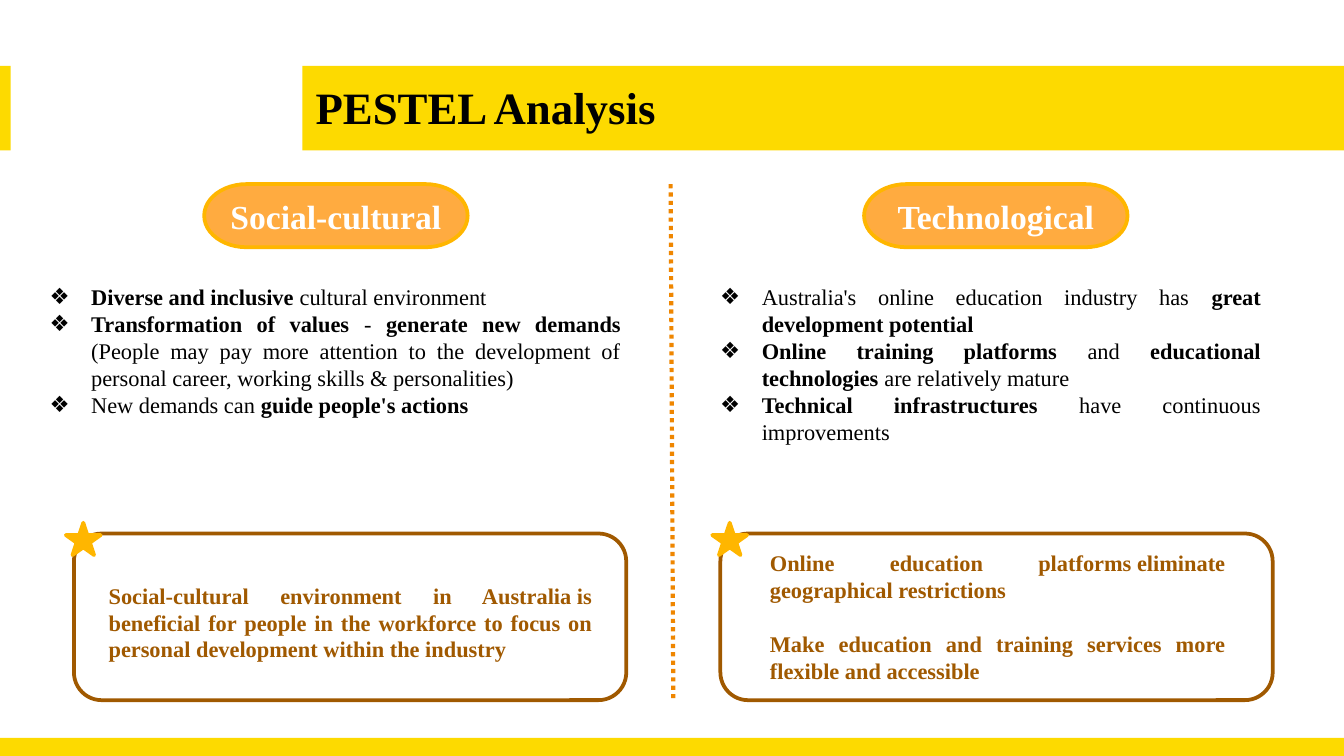
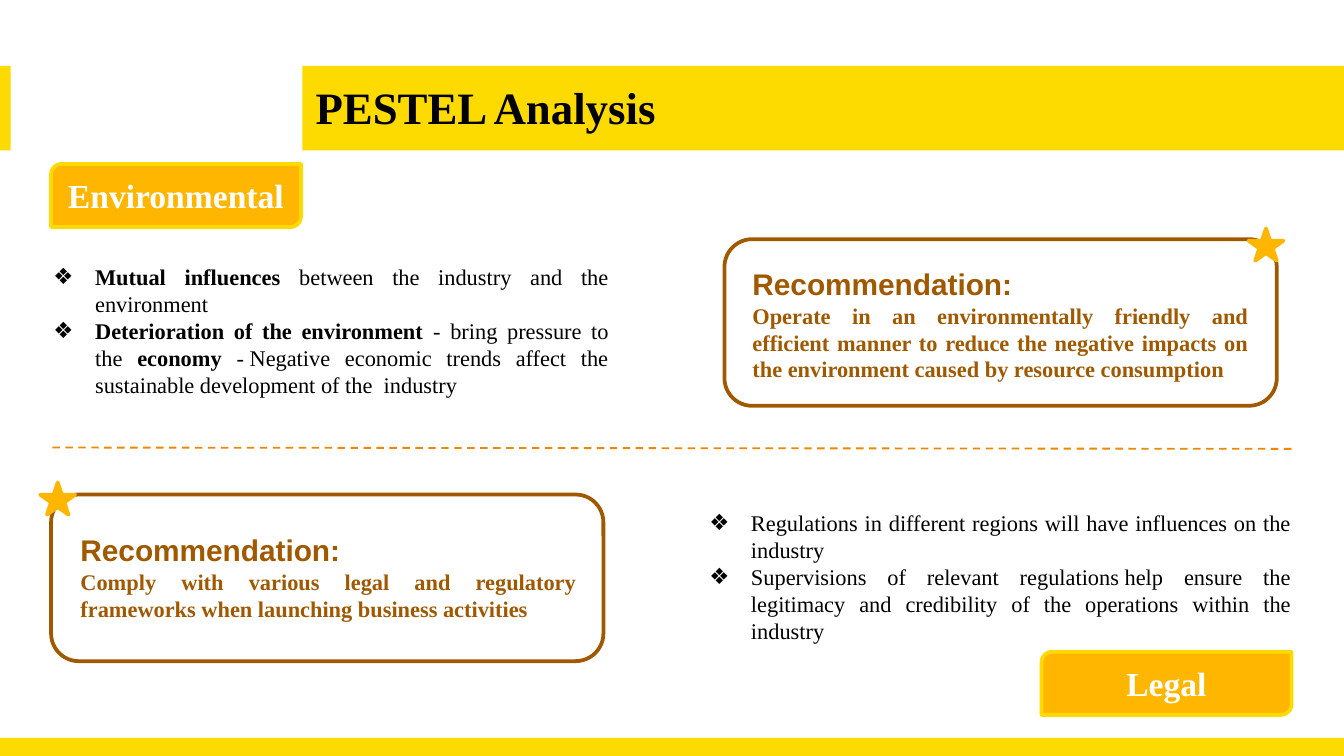
from lxml import etree
from pptx import Presentation
from pptx.dml.color import RGBColor
from pptx.enum.dml import MSO_LINE
from pptx.enum.shapes import MSO_CONNECTOR, MSO_SHAPE
from pptx.enum.text import MSO_ANCHOR, PP_ALIGN
from pptx.oxml.ns import qn
from pptx.util import Emu, Pt

RECT, ROUND = MSO_SHAPE.RECTANGLE, MSO_SHAPE.ROUNDED_RECTANGLE
PILL, TAG = MSO_SHAPE.FLOWCHART_TERMINATOR, MSO_SHAPE.ROUND_2_DIAG_RECTANGLE
STAR, LINE = MSO_SHAPE.STAR_5_POINT, MSO_CONNECTOR.STRAIGHT
DOT, DASH = MSO_LINE.ROUND_DOT, MSO_LINE.DASH
TOP, MID = MSO_ANCHOR.TOP, MSO_ANCHOR.MIDDLE
LEFT, CENTER, JUST = PP_ALIGN.LEFT, PP_ALIGN.CENTER, PP_ALIGN.JUSTIFY

WIDE = 1000
SERIF, SANS = "Times New Roman", "Arial"
YELLOW, AMBER, PEACH, ORANGE = "FDDA00", "FFB600", "FFAB40", "EF8600"
BROWN, BLACK, WHITE = "A05900", "000000", "FFFFFF"
CARD = (411, 124)
HARD = chr(160)  # no-break space, typed as ~ in the wording


def px(n):
    return Emu(n * 9144)


def rgb(code):
    return RGBColor.from_string(code)


def shape(slide, kind, box, fill, edge=None):
    item = slide.shapes.add_shape(kind, *map(px, box))
    item.shadow.inherit = False
    item.fill.solid()
    item.fill.fore_color.rgb = rgb(fill)
    if edge:
        item.line.color.rgb = rgb(edge)
        item.line.width = Pt(2)
    else:
        item.line.fill.background()
    return item


def frame_of(item, pad, anchor):
    frame = item.text_frame
    frame.word_wrap = True
    frame.vertical_anchor = anchor
    frame.margin_left = frame.margin_right = px(pad[0])
    frame.margin_top = frame.margin_bottom = px(pad[1])
    return frame


def text_box(slide, box, pad=(10, 5)):
    return frame_of(slide.shapes.add_textbox(*map(px, box)), pad, TOP)


def para(frame, first, align):
    item = frame.paragraphs[0] if first else frame.add_paragraph()
    item.alignment = align
    return item


def run(item, words, size, color, bold=True, font=SERIF):
    part = item.add_run()
    part.text = words.replace("~", HARD)
    part.font.size = Pt(size)
    part.font.name = font
    part.font.bold = bold
    part.font.color.rgb = rgb(color)


def bullet(item):
    props = item._p.get_or_add_pPr()
    props.set("marL", str(px(31)))
    props.set("indent", str(-px(31)))
    tint = etree.SubElement(props, qn("a:buClr"))
    etree.SubElement(tint, qn("a:srgbClr"), val=BLACK)
    etree.SubElement(props, qn("a:buFont"), typeface=SANS)
    etree.SubElement(props, qn("a:buChar"), char="❖")


def base(deck, title):
    slide = deck.slides.add_slide(deck.slide_layouts[6])
    # Bands and title
    for box in ((0, 549, WIDE, 14), (225, 49, 775, 63), (0, 49, 8, 63)):
        shape(slide, RECT, box, YELLOW)
    frame = text_box(slide, (225, 49, 741, 63), (10, 10))
    run(para(frame, True, LEFT), title, 24, BLACK)
    return slide


def split(slide, ends, width, dash):
    rule = slide.shapes.add_connector(LINE, *map(px, ends))
    rule.line.color.rgb = rgb(ORANGE)
    rule.line.width = Pt(width)
    rule.line.dash_style = dash
    etree.SubElement(rule._element.spPr, qn("a:effectLst"))


def label(slide, kind, box, words, fill, edge):
    frame = frame_of(shape(slide, kind, box, fill, edge), (0, 0), MID)
    run(para(frame, True, CENTER), words, 18, WHITE)


def points(slide, box, items):
    frame = text_box(slide, box)
    for i, parts in enumerate(items):
        item = para(frame, i == 0, JUST)
        bullet(item)
        for words, bold in parts:
            run(item, words, 12, BLACK, bold)


def card(slide, x, y, inner, lines, head=None, star=(-6, -8), gap=0):
    """Outlined card; inner and star are placed from its top left corner."""
    shape(slide, ROUND, (x, y, *CARD), WHITE, BROWN)
    shape(slide, STAR, (x + star[0], y + star[1], 26, 24), AMBER, AMBER)
    dx, dy, w, h = inner
    frame = text_box(slide, (x + dx, y + dy, w, h))
    if head:
        run(para(frame, True, LEFT), head, 16, BROWN, font=SANS)
    for i, words in enumerate(lines):
        item = para(frame, i == 0 and not head, JUST)
        if i:
            item.space_before = Pt(gap)
        run(item, words, 12, BROWN)


def columns(deck):
    slide = base(deck, "PESTEL Analysis")
    split(slide, (499, 137, 501, 521), 2.25, DOT)
    for x, words in ((152, "Social-cultural"), (643, "Technological")):
        label(slide, PILL, (x, 137, 196, 47), words, PEACH, AMBER)

    # Left column
    points(slide, (27, 206, 445, 111), [
        [("Diverse and inclusive", True), (" cultural environment", False)],
        [("Transformation of values", True), (" - ", False),
         ("generate new demands", True),
         (" (People may pay more attention to the development of personal "
          "career, working skills & personalities)", False)],
        [("New demands can ", False), ("guide people's actions", True)],
    ])
    card(slide, 55, 397, (16, 31, 380, 71), [
        "Social-cultural environment in Australia~is beneficial for people "
        "in the workforce to focus on personal development within the industry"])

    # Right column
    points(slide, (526, 206, 422, 131), [
        [("Australia's online education industry has ", False),
         ("great development~potential", True)],
        [("Online training platforms", True), (" and ", False),
         ("educational technologies", True),
         (" are relatively mature", False)],
        [("Technical infrastructures", True),
         (" have continuous improvements", False)],
    ])
    card(slide, 536, 397, (27, 7, 359, 111), [
        "Online education platforms~eliminate geographical restrictions",
        "Make education and training services more flexible and accessible",
    ], gap=14.4)


def rows(deck):
    slide = base(deck, "PESTEL Analysis")
    split(slide, (39, 333, 961, 334), 1, DASH)
    for x, y, words in ((38, 122, "Environmental"), (775, 485, "Legal")):
        label(slide, TAG, (x, y, 186, 47), words, AMBER, YELLOW)

    # Upper row
    points(slide, (30, 191, 433, 111), [
        [("Mutual influences", True),
         (" between the industry and the environment", False)],
        [("Deterioration of the environment", True),
         (" - bring pressure to the ", False), ("economy", True),
         (" -~Negative economic trends affect the sustainable development "
          "of the~ industry", False)],
    ])
    card(slide, 539, 178, (11, 15, 389, 121), [
        "Operate in an environmentally friendly and efficient manner to reduce "
        "the negative impacts on the environment caused by resource consumption",
    ], "Recommendation:", (390, -8))

    # Lower row
    points(slide, (518, 374, 453, 111), [
        [("Regulations in different regions will have influences on the "
          "industry", False)],
        [("Supervisions of relevant regulations~help ensure the legitimacy "
          "and credibility of the operations within the industry", False)],
    ])
    card(slide, 38, 368, (12, 23, 389, 101), [
        "Comply with various legal and regulatory frameworks when launching "
        "business activities"], "Recommendation:", (-8, -9))


def main():
    deck = Presentation()
    deck.slide_width = px(WIDE)
    deck.slide_height = Emu(px(WIDE) * 9 // 16)
    columns(deck)
    rows(deck)
    deck.save("out.pptx")


if __name__ == "__main__":
    main()
